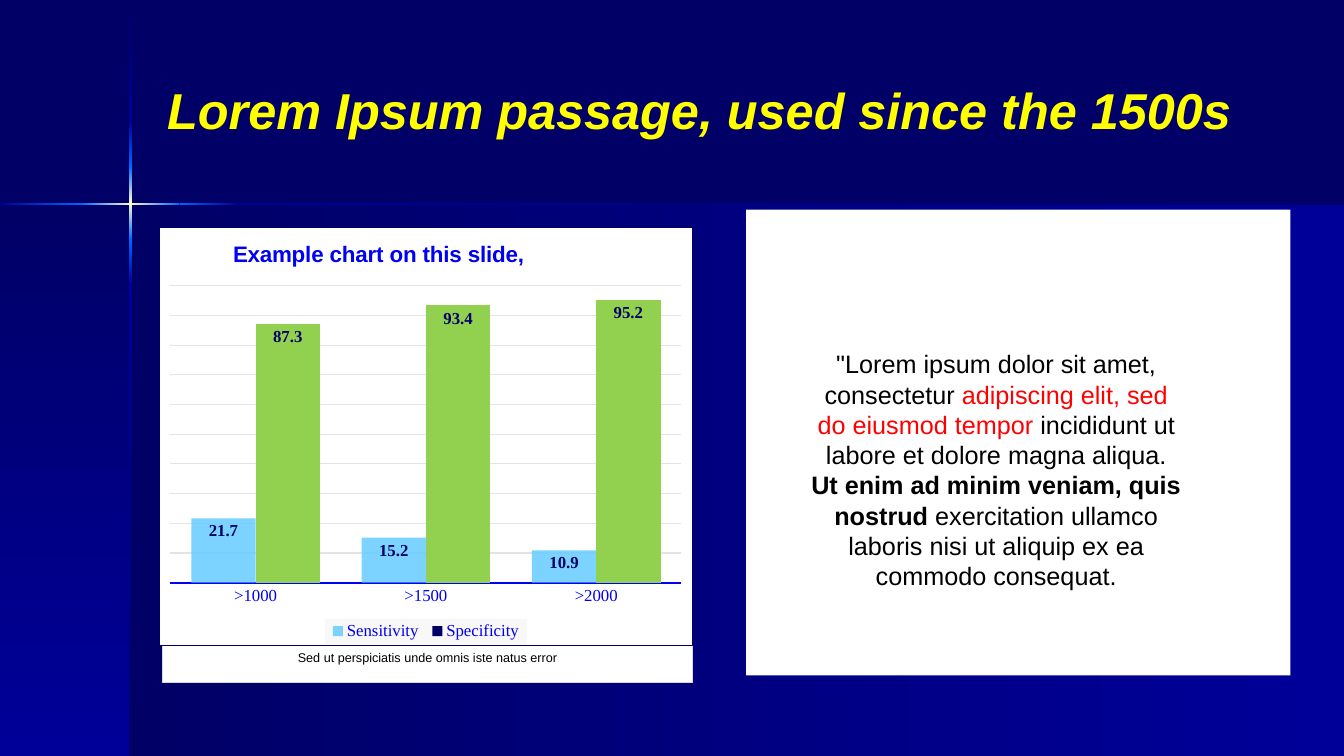
from lxml import etree
from pptx import Presentation
from pptx.chart.data import CategoryChartData
from pptx.dml.color import RGBColor
from pptx.enum.chart import XL_CHART_TYPE, XL_LABEL_POSITION, XL_LEGEND_POSITION, XL_TICK_MARK
from pptx.enum.shapes import MSO_SHAPE
from pptx.enum.text import MSO_ANCHOR, PP_ALIGN
from pptx.oxml.ns import qn
from pptx.util import Emu, Pt

RECT = MSO_SHAPE.RECTANGLE
COLUMN = XL_CHART_TYPE.COLUMN_CLUSTERED
IN_END = XL_LABEL_POSITION.INSIDE_END
BOTTOM = XL_LEGEND_POSITION.BOTTOM
NO_TICK = XL_TICK_MARK.NONE
TOP, MIDDLE = MSO_ANCHOR.TOP, MSO_ANCHOR.MIDDLE
LEFT, CENTER = PP_ALIGN.LEFT, PP_ALIGN.CENTER
SANS, SERIF = "Arial", "Times New Roman"

PX = 9144  # 100 px to the inch
HEX = {
    "navy": "000066", "deep": "000099", "glow": "0066FF", "cream": "FFFFCC",
    "yellow": "FFFF00", "white": "FFFFFF", "black": "000000", "red": "FF0000",
    "edge": "D9D9D9", "blue": "0000F2", "sky": "66CCFF", "green": "92D050",
    "grid": "E3E3E3", "pale": "F8F8F8",
}


def rgb(name):
    return RGBColor.from_string(HEX[name])


def scale(box):
    return [Emu(n * PX) for n in box]


def style(font, face, size, color, bold=False, italic=False):
    font.name, font.size = face, Pt(size)
    font.bold, font.italic = bold, italic
    font.color.rgb = rgb(color)


def add_rect(slide, box, fill=None, line=None):
    shape = slide.shapes.add_shape(RECT, *scale(box))
    shape.shadow.inherit = False
    if fill:
        shape.fill.solid()
        shape.fill.fore_color.rgb = rgb(fill)
    if line:
        shape.line.color.rgb = rgb(line)
        shape.line.width = Pt(0.75)
    else:
        shape.line.fill.background()
    return shape


def add_blend(slide, box, colors, down):
    """Rectangle with evenly spaced colour stops, to the right or down."""
    shape = add_rect(slide, box)
    shape.fill.gradient()
    shape.fill.gradient_angle = 270 if down else 0
    stops = shape._element.spPr.find(".//" + qn("a:gsLst"))
    stops.clear()
    for i, name in enumerate(colors):
        pos = str(100000 * i // (len(colors) - 1))
        stop = etree.SubElement(stops, qn("a:gs"), pos=pos)
        etree.SubElement(stop, qn("a:srgbClr"), val=HEX[name])


def set_text(shape, runs, size, align, anchor, bold=False, italic=False):
    """Runs are (text, color, bold); the paragraph holds the shared font."""
    frame = shape.text_frame
    frame.word_wrap = True
    frame.vertical_anchor = anchor
    para = frame.paragraphs[0]
    para.alignment = align
    style(para.font, SANS, size, runs[0][1], bold, italic)
    for text, color, heavy in runs:
        run = para.add_run()
        run.text = text
        run.font.color.rgb = rgb(color)
        if heavy:
            run.font.bold = True


def add_text(slide, box, *args, **kwargs):
    set_text(slide.shapes.add_textbox(*scale(box)), *args, **kwargs)


def set_alpha(node, percent):
    for color in node.iter(qn("a:srgbClr")):
        etree.SubElement(color, qn("a:alpha"), val=str(percent * 1000))


def paint(node, fill, line=None):
    """Give a chart part a fill and a line, ahead of its text properties."""
    props = etree.Element(qn("c:spPr"))
    solid = etree.SubElement(props, qn("a:solidFill"))
    etree.SubElement(solid, qn("a:srgbClr"), val=HEX[fill])
    if line:
        edge = etree.SubElement(props, qn("a:ln"), w=str(Pt(0.75)))
        solid = etree.SubElement(edge, qn("a:solidFill"))
        etree.SubElement(solid, qn("a:srgbClr"), val=HEX[line])
    node.find(qn("c:txPr")).addprevious(props)


def place(node, after, **spots):
    """Fix a chart part at fractions of the chart's size."""
    old = node.find(qn("c:layout"))
    if old is not None:
        node.remove(old)
    layout = etree.Element(qn("c:layout"))
    manual = etree.SubElement(layout, qn("c:manualLayout"))
    if after:
        node.find(qn(after)).addnext(layout)
    else:
        node.insert(0, layout)
        etree.SubElement(manual, qn("c:layoutTarget"), val="inner")
    for key in ("xMode", "yMode"):
        etree.SubElement(manual, qn("c:" + key), val="edge")
    for key, value in spots.items():
        etree.SubElement(manual, qn("c:" + key), val=str(value))


def add_bars(slide, box, title, cats, rows):
    data = CategoryChartData()
    data.categories = cats
    for name, values, _ in rows:
        data.add_series(name, values)
    chart = slide.shapes.add_chart(COLUMN, *scale(box), data).chart
    style(chart.font, SERIF, 10, "navy")
    space = chart._chartSpace
    paint(space, "white", "navy")

    # Title and legend
    para = chart.chart_title.text_frame.paragraphs[0]
    para.text = title
    style(para.font, SANS, 16, "blue", bold=True)
    chart.has_legend = True
    legend = chart.legend
    legend.position = BOTTOM
    legend.include_in_layout = False
    style(legend.font, SERIF, 12, "blue")
    paint(legend._element, "pale")

    # Axes
    axis = chart.category_axis
    axis.major_tick_mark = NO_TICK
    axis.format.line.color.rgb = rgb("blue")
    axis.format.line.width = Pt(1.5)
    style(axis.tick_labels.font, SERIF, 12, "blue")
    scale_y = chart.value_axis
    scale_y.minimum_scale, scale_y.maximum_scale = 0, 100
    scale_y.major_unit = 10
    grid = scale_y.major_gridlines.format.line
    grid.color.rgb = rgb("grid")
    grid.width = Pt(0.75)
    scale_y.visible = False

    # Bars and their labels
    plot = chart.plots[0]
    plot.gap_width, plot.overlap = 65, 0
    plot.vary_by_categories = False
    for bars, (_, values, (color, tint)) in zip(plot.series, rows):
        bars.format.fill.solid()
        bars.format.fill.fore_color.rgb = rgb(color)
        if tint:
            for i in range(len(values)):
                fill = bars.points[i].format.fill
                fill.solid()
                fill.fore_color.rgb = rgb(tint)
        else:
            set_alpha(bars._element.find(qn("c:spPr")), 85)
        labels = bars.data_labels
        labels.show_value = True
        labels.position = IN_END
        style(labels.font, SERIF, 12, "navy", bold=True)

    place(space.find(".//" + qn("c:plotArea")), None, x=0.02, y=0.14, w=0.96, h=0.71)
    place(chart.chart_title._element, "c:tx", x=0.13, y=0.02)
    place(legend._element, "c:legendPos", x=0.31, y=0.94, w=0.38, h=0.06)


def main():
    prs = Presentation()
    prs.slide_width, prs.slide_height = scale((1333, 750))
    slide = prs.slides.add_slide(prs.slide_layouts[6])
    slide.background.fill.solid()
    slide.background.fill.fore_color.rgb = rgb("navy")

    # Backdrop panels
    rise, fall = ("navy", "deep"), ("deep", "navy")
    add_blend(slide, (129, 202, 1204, 548), rise, False)
    add_blend(slide, (0, 202, 129, 548), rise, True)

    # Crossing beams, cut at the points where the colours change
    kinds = (rise, ("deep", "glow"), ("glow", "cream", "glow"), ("glow", "deep"), fall)
    tall = (1, 121, 165, 238, 282, 750)
    wide = (0, 81, 178, 236, 1333)
    for start, end, colors in zip(tall, tall[1:], kinds):
        add_blend(slide, (128, start, 3, end - start), colors, True)
    for start, end, colors in zip(wide, wide[1:], kinds[1:]):
        add_blend(slide, (start, 201, end - start, 2), colors, False)

    # Heading
    head = [("Lorem Ipsum passage, used since the 1500s", "yellow", False)]
    add_text(slide, (156, 30, 1083, 157), head, 36, LEFT, MIDDLE, bold=True, italic=True)

    # Caption and chart
    note = add_rect(slide, (161, 640, 526, 37), "white", "edge")
    words = [("Sed ut perspiciatis unde omnis iste natus error", "black", False)]
    set_text(note, words, 9, CENTER, TOP)
    add_bars(slide, (158, 225, 529, 416), "Example chart on this slide,",
             (">1000", ">1500", ">2000"),
             (("Sensitivity", (21.7, 15.2, 10.9), ("sky", None)),
              ("Specificity", (87.3, 93.4, 95.2), ("navy", "green"))))

    # Passage on its panel
    add_rect(slide, (740, 208, 540, 462), "white")
    passage = [
        ('"Lorem ipsum dolor sit amet, consectetur ', "black", False),
        ("adipiscing elit, sed do eiusmod tempor ", "red", False),
        ("incididunt ut labore et dolore magna aliqua. ", "black", False),
        ("Ut enim ad minim veniam, quis nostrud ", "black", True),
        ("exercitation ullamco laboris nisi ut aliquip ex ea commodo consequat.",
         "black", False),
    ]
    add_text(slide, (794, 341, 388, 252), passage, 18, CENTER, TOP)
    prs.save("out.pptx")


if __name__ == "__main__":
    main()
